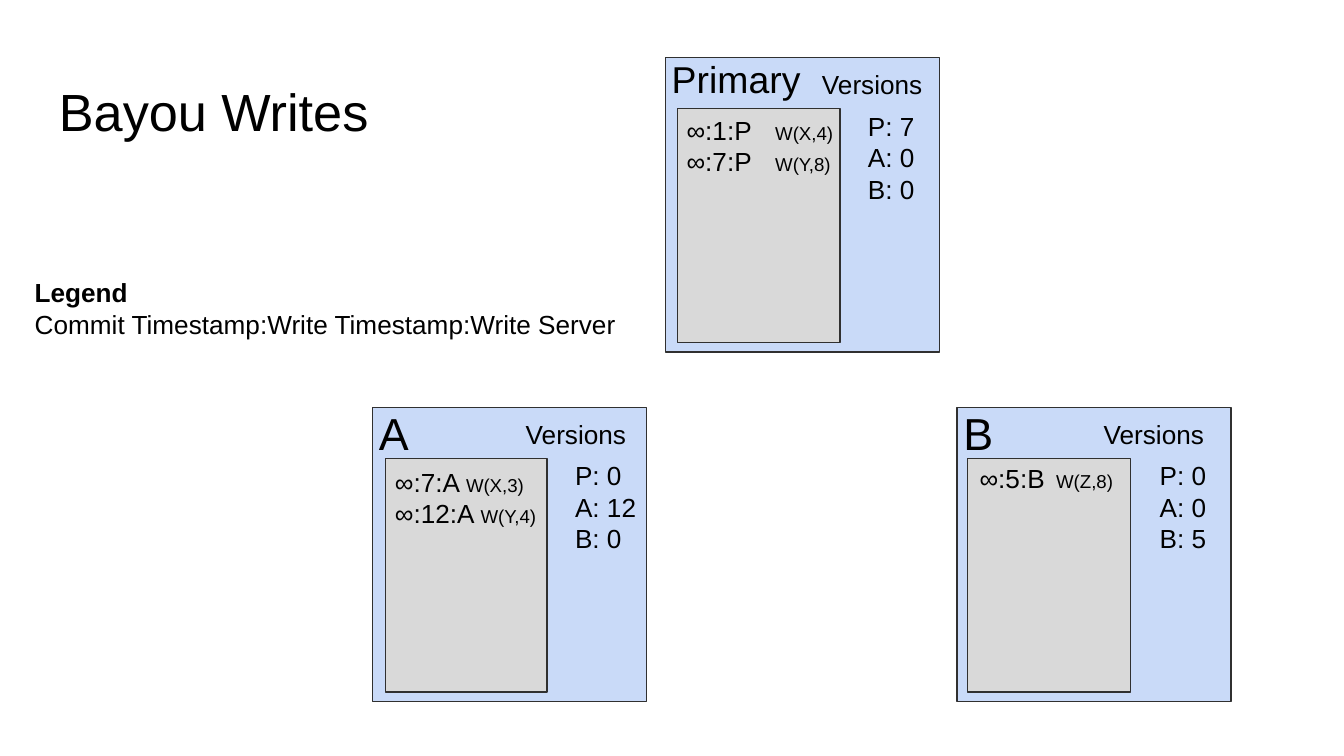
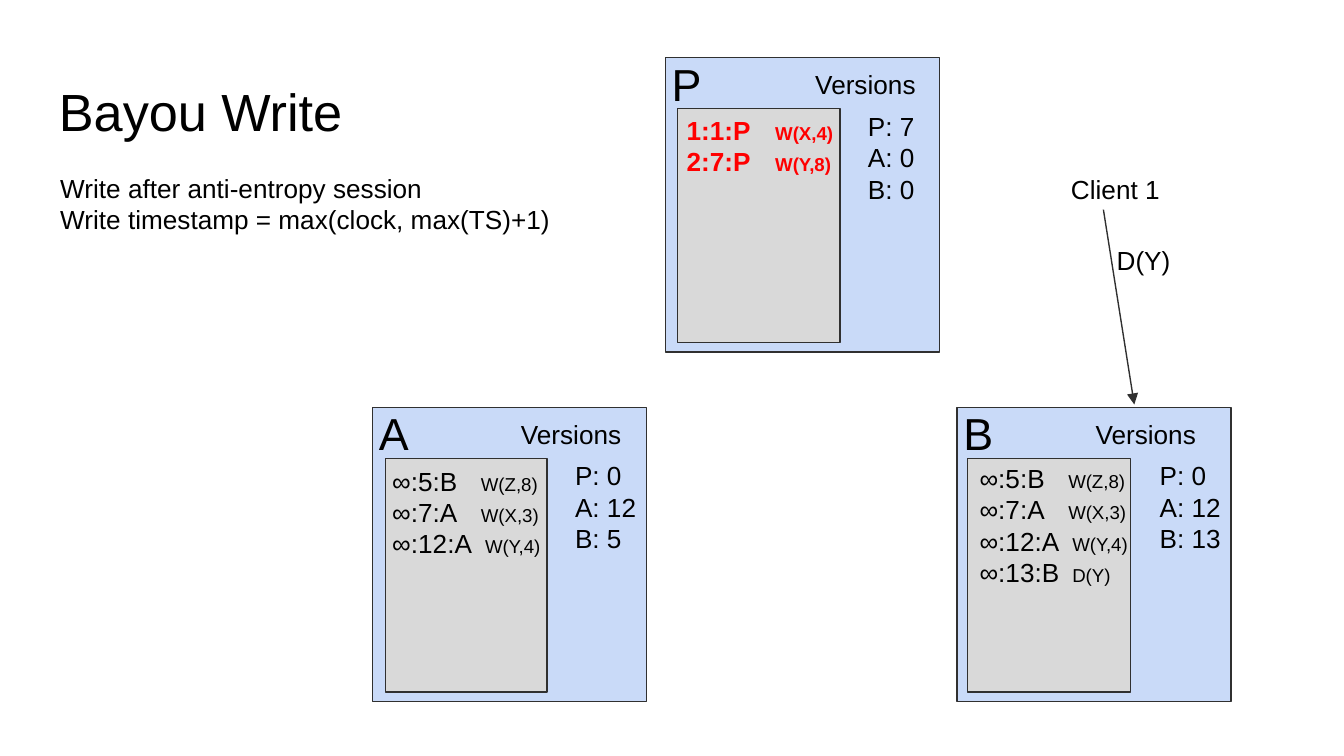
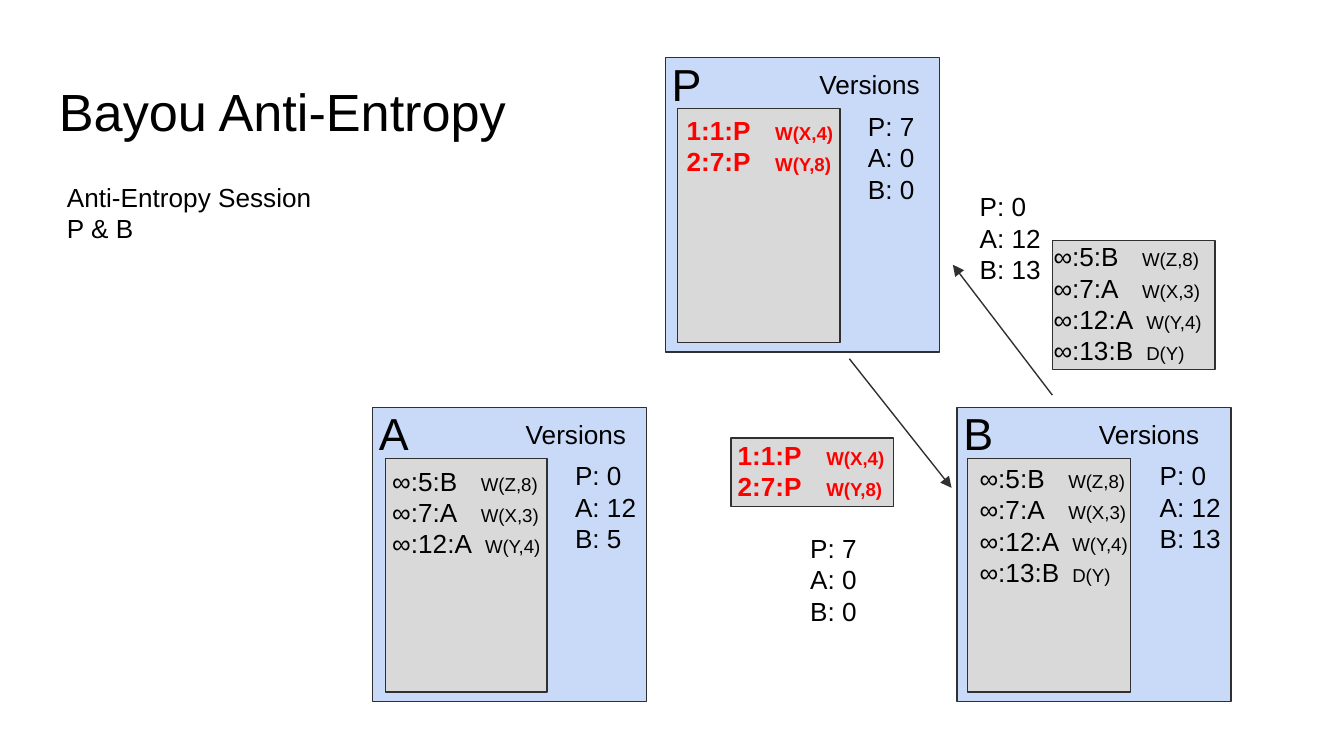
import pptx
import pptx.dml.color
import pptx.enum.shapes
import pptx.enum.text
import pptx.oxml.ns
import pptx.util
from lxml import etree

Inches = pptx.util.Inches
Color = pptx.dml.color.RGBColor.from_string

THEME = {
    "font": "Arial",
    "text": "000000", "committed": "FF0000", "line": "303030",
    "replica": "C9DAF8", "log": "D9D9D9",
    "title": 28, "name": 24, "long_name": 20, "body": 14, "operation": 10,
    "line_width": 0.75, "tab": 0.66, "wide_stamp": 0.03,
}


def add_box(shapes, frame, fill):
    """Outlined rectangle."""
    shape = shapes.add_shape(pptx.enum.shapes.MSO_SHAPE.RECTANGLE, *map(Inches, frame))
    shape.shadow.inherit = False
    shape.fill.solid()
    shape.fill.fore_color.rgb = Color(THEME[fill])
    shape.line.color.rgb = Color(THEME["line"])
    shape.line.width = pptx.util.Pt(THEME["line_width"])


def add_text(shapes, frame, lines, size="body", centered=False, tab=None):
    """Text box; a line is a string or a (stamp, operation) log entry."""
    shape = shapes.add_textbox(*map(Inches, frame))
    text_frame = shape.text_frame
    text_frame.word_wrap = True
    for side in ("left", "top", "right", "bottom"):
        setattr(text_frame, f"margin_{side}", Inches(0.1))
    for index, line in enumerate(lines):
        paragraph = text_frame.paragraphs[0] if index == 0 else text_frame.add_paragraph()
        if centered:
            paragraph.alignment = pptx.enum.text.PP_ALIGN.CENTER
        pieces = [(line, size)]
        committed = False
        if isinstance(line, tuple):
            stamp, operation = line
            committed = not stamp.startswith("∞")
            pieces = [(stamp, size), (f"\t{operation}" if tab else operation, "operation")]
            if tab:
                position = tab + (THEME["wide_stamp"] if len(stamp) > 5 else 0)
                properties = paragraph._p.get_or_add_pPr()
                tabs = etree.SubElement(properties, pptx.oxml.ns.qn("a:tabLst"))
                etree.SubElement(tabs, pptx.oxml.ns.qn("a:tab"),
                                 pos=str(Inches(position)), algn="l")
        for text, piece_size in pieces:
            run = paragraph.add_run()
            run.text = text
            formats = {"name": THEME["font"], "size": pptx.util.Pt(THEME[piece_size]),
                       "bold": committed}
            for attribute, value in formats.items():
                setattr(run.font, attribute, value)
            run.font.color.rgb = Color(THEME["committed" if committed else "text"])
    return shape


# Where each replica, its log area and its log text stand
LAYOUT = {
    "P": {"corner": (4.95, 0.43), "log": (5.04, 0.81, 1.21, 1.74), "entries": (5.01, 0.75, 1.31, 1.55)},
    "A": {"corner": (2.77, 3.03), "log": (2.87, 3.41, 1.2, 1.74), "entries": (2.82, 3.36, 1.31, 1.55)},
    "B": {"corner": (7.12, 3.03), "log": (7.2, 3.41, 1.21, 1.74), "entries": (7.19, 3.34, 1.38, 1.55)},
}

# Logs and version vectors that recur
P_LOG = [("1:1:P", "W(X,4)"), ("2:7:P", "W(Y,8)")]
A_LOG = [("∞:5:B", "W(Z,8)"), ("∞:7:A", "W(X,3)"), ("∞:12:A", "W(Y,4)")]
B_LOG = A_LOG + [("∞:13:B", "D(Y)")]
P_VERSIONS = ["P: 7", "A: 0", "B: 0"]
A_VERSIONS = ["P: 0", "A: 12", "B: 5"]
B_VERSIONS = ["P: 0", "A: 12", "B: 13"]

# Replicas: name, versions, width of the "Versions" label, log, optional changes
SLIDES = [
    {
        "title": "Bayou Writes",
        "replicas": {
            "P": {"name": "Primary", "versions": P_VERSIONS, "label": 1.04,
                  "log": [("∞:1:P", "W(X,4)"), ("∞:7:P", "W(Y,8)")]},
            "A": {"versions": ["P: 0", "A: 12", "B: 0"], "label": 1.09, "tab": None,
                  "entries": (2.84, 3.37, 1.43, 1.57),
                  "log": [("∞:7:A ", "W(X,3)"), ("∞:12:A ", "W(Y,4)")]},
            "B": {"versions": ["P: 0", "A: 0", "B: 5"], "label": 1.19, "tab": 0.57,
                  "log": [("∞:5:B", "W(Z,8)")]},
        },
        "heading": ((0.16, 1.96, 4.74, 0.89),
                    ["Legend", "Commit Timestamp:Write Timestamp:Write Server"]),
    },
    {
        "title": "Bayou Write",
        "replicas": {
            "P": {"versions": P_VERSIONS, "label": 1.14, "log": P_LOG},
            "A": {"versions": A_VERSIONS, "label": 1.16, "log": A_LOG},
            "B": {"versions": B_VERSIONS, "label": 1.31, "log": B_LOG},
        },
        "notes": [
            ((7.87, 1.19, 0.92, 0.42), ["Client 1"]),
            ((0.35, 1.18, 3.9, 0.72), ["Write after anti-entropy session",
                                       "Write timestamp = max(clock, max(TS)+1)"]),
            ((8.21, 1.72, 1.38, 0.65), ["D(Y)"]),
        ],
        "arrows": [(8.21, 1.56, 8.44, 3.01)],
    },
    {
        "title": "Bayou Anti-Entropy",
        "replicas": {
            "P": {"versions": P_VERSIONS, "label": 1.08, "log": P_LOG},
            "A": {"versions": A_VERSIONS, "label": 1.09, "log": A_LOG},
            "B": {"versions": B_VERSIONS, "label": 1.26, "log": B_LOG},
        },
        "notes": [((0.4, 1.25, 2.06, 0.72), ["Anti-Entropy Session", "P & B"])],
        "arrows": [(7.83, 2.94, 7.09, 1.97), (6.32, 2.67, 7.08, 3.63)],
        "messages": [
            {"box": (5.44, 3.26, 1.21, 0.51), "entries": (5.39, 3.17, 1.31, 0.55), "log": P_LOG,
             "vector": (5.93, 3.86, 0.72, 0.86), "versions": P_VERSIONS},
            {"box": (7.83, 1.79, 1.21, 0.96), "entries": (7.74, 1.69, 1.38, 1.06), "log": B_LOG,
             "vector": (7.19, 1.32, 0.72, 0.86), "versions": B_VERSIONS},
        ],
    },
]

# Widescreen, 16:9
presentation = pptx.Presentation()
presentation.slide_width = Inches(10)
presentation.slide_height = Inches(10 * 9 / 16)

for content in SLIDES:
    slide = presentation.slides.add_slide(presentation.slide_layouts[6])
    add_text(slide.shapes, (0.34, 0.49, 3.61, 0.63), [content["title"]], "title")

    # Replicas with version vectors
    for key, replica in content["replicas"].items():
        left, top = LAYOUT[key]["corner"]
        name = replica.get("name", key)
        is_long = len(name) > 1
        group = slide.shapes.add_group_shape()
        add_box(group.shapes, (left, top, 2.04, 2.19), "replica")
        add_box(group.shapes, LAYOUT[key]["log"], "log")
        add_text(group.shapes, (left + 1.41, top + 0.29, 0.72, 0.86), replica["versions"])
        add_text(group.shapes, (left + 2.06 - replica["label"], top - 0.02, replica["label"], 0.36),
                 ["Versions"], centered=True)
        add_text(group.shapes, (left - 0.05, top - 0.11, 1.24 if is_long else 0.46, 0.4 if is_long else 0.53),
                 [name], "long_name" if is_long else "name")

    # Write logs
    for key, replica in content["replicas"].items():
        add_text(slide.shapes, replica.get("entries", LAYOUT[key]["entries"]), replica["log"],
                 tab=replica.get("tab", THEME["tab"]))

    # Notes and legend
    for frame, lines in content.get("notes", []):
        add_text(slide.shapes, frame, lines)
    if "heading" in content:
        legend = add_text(slide.shapes, *content["heading"])
        legend.text_frame.paragraphs[0].runs[0].font.bold = True

    # Arrows
    for ends in content.get("arrows", []):
        arrow = slide.shapes.add_connector(pptx.enum.shapes.MSO_CONNECTOR.STRAIGHT, *map(Inches, ends))
        arrow.line.color.rgb = Color(THEME["line"])
        arrow.line.width = pptx.util.Pt(THEME["line_width"])
        etree.SubElement(arrow.get_or_add_ln(), pptx.oxml.ns.qn("a:tailEnd"), type="triangle")
        etree.SubElement(arrow._element.spPr, pptx.oxml.ns.qn("a:effectLst"))

    # Messages exchanged by replicas
    for message in content.get("messages", []):
        add_box(slide.shapes, message["box"], "log")
        add_text(slide.shapes, message["entries"], message["log"], tab=THEME["tab"])
        add_text(slide.shapes, message["vector"], message["versions"])

presentation.save("out.pptx")
